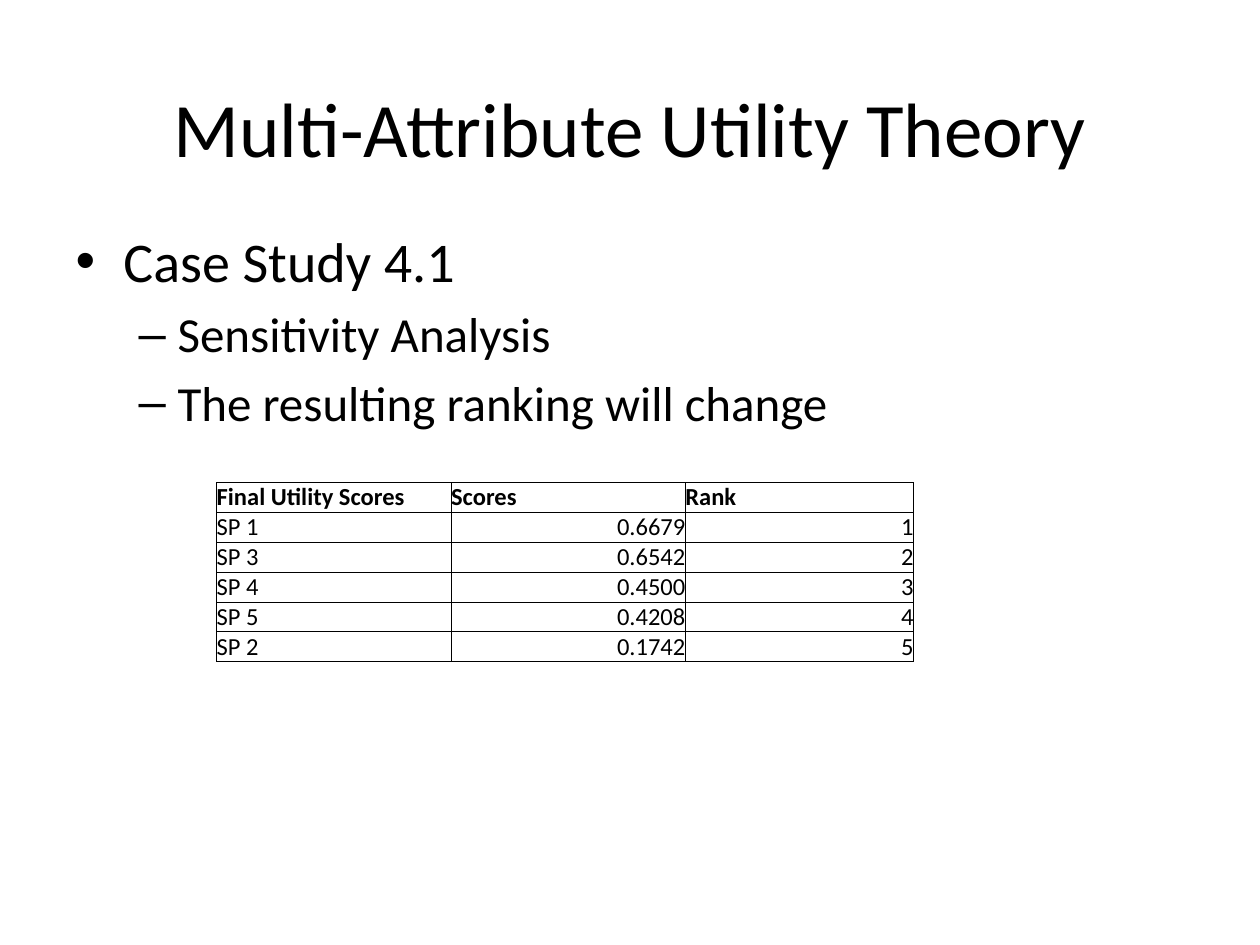
from pptx import Presentation
from pptx.dml.color import RGBColor
from pptx.enum.text import MSO_ANCHOR, PP_ALIGN
from pptx.oxml import parse_xml
from pptx.oxml.ns import nsdecls
from pptx.util import Inches, Pt

TITLE = "Multi-Attribute Utility Theory"
BULLETS = [
    (0, "Case Study 4.1"),
    (1, "Sensitivity Analysis"),
    (1, "The resulting ranking will change"),
]
ROWS = [
    ("Final Utility Scores", "Scores", "Rank"),
    ("SP 1", "0.6679", "1"),
    ("SP 3", "0.6542", "2"),
    ("SP 4", "0.4500", "3"),
    ("SP 5", "0.4208", "4"),
    ("SP 2", "0.1742", "5"),
]
COL_WIDTHS = [1.86, 1.86, 1.81]
ROW_HEIGHT = 0.21
LEVELS = [(32, 0.38, -0.38, "•"), (28, 0.81, -0.31, "–")]
COLORS = {"text": "000000", "border": "000000"}
FONT = "Calibri"


def place(sp, left, top, width, height):
    sp.left, sp.top = Inches(left), Inches(top)
    sp.width, sp.height = Inches(width), Inches(height)


def style(p, size, bold=False):
    for r in p.runs:
        r.font.name = FONT
        r.font.size = Pt(size)
        r.font.bold = bold
        r.font.color.rgb = RGBColor.from_string(COLORS["text"])


def add_bullet(p, left, indent, char):
    pPr = p._p.get_or_add_pPr()
    pPr.set("marL", str(Inches(left)))
    pPr.set("indent", str(Inches(indent)))
    pPr.append(parse_xml(f'<a:buChar {nsdecls("a")} char="{char}"/>'))


def add_borders(cell):
    tcPr = cell._tc.get_or_add_tcPr()
    for i, side in enumerate(("lnL", "lnR", "lnT", "lnB")):
        tcPr.insert(i, parse_xml(
            f'<a:{side} {nsdecls("a")} w="{Pt(0.5)}"><a:solidFill>'
            f'<a:srgbClr val="{COLORS["border"]}"/></a:solidFill></a:{side}>'))


def add_scores(s):
    frame = s.shapes.add_table(
        len(ROWS), len(COL_WIDTHS), Inches(1.72), Inches(3.83),
        Inches(sum(COL_WIDTHS)), Inches(ROW_HEIGHT * len(ROWS)))
    table = frame.table
    table.horz_banding = False
    for column, width in zip(table.columns, COL_WIDTHS):
        column.width = Inches(width)
    for i, values in enumerate(ROWS):
        table.rows[i].height = Inches(ROW_HEIGHT)
        for j, value in enumerate(values):
            cell = table.cell(i, j)
            cell.margin_left = cell.margin_right = 0
            cell.margin_top = cell.margin_bottom = 0
            cell.vertical_anchor = MSO_ANCHOR.BOTTOM
            cell.fill.background()
            add_borders(cell)
            cell.text_frame.text = value
            p = cell.text_frame.paragraphs[0]
            p.alignment = PP_ALIGN.RIGHT if i and j else PP_ALIGN.LEFT
            style(p, 14, bold=i == 0)


def main():
    prs = Presentation()
    prs.slide_width, prs.slide_height = Inches(10), Inches(7.5)
    s = prs.slides.add_slide(prs.slide_layouts[1])

    title = s.shapes.title
    place(title, 0.5, 0.38, 9, 1.25)
    tf = title.text_frame
    tf.text = TITLE
    tf.vertical_anchor = MSO_ANCHOR.MIDDLE
    tf.paragraphs[0].alignment = PP_ALIGN.CENTER
    style(tf.paragraphs[0], 44)

    body = s.placeholders[1]
    place(body, 0.5, 1.75, 9, 4.95)
    tf = body.text_frame
    for i, (level, text) in enumerate(BULLETS):
        p = tf.add_paragraph() if i else tf.paragraphs[0]
        p.text = text
        p.level = level
        size, left, indent, char = LEVELS[level]
        add_bullet(p, left, indent, char)
        p.space_before = Pt(0.2 * size if i else 0)
        style(p, size)

    add_scores(s)
    prs.save("out.pptx")


if __name__ == "__main__":
    main()
